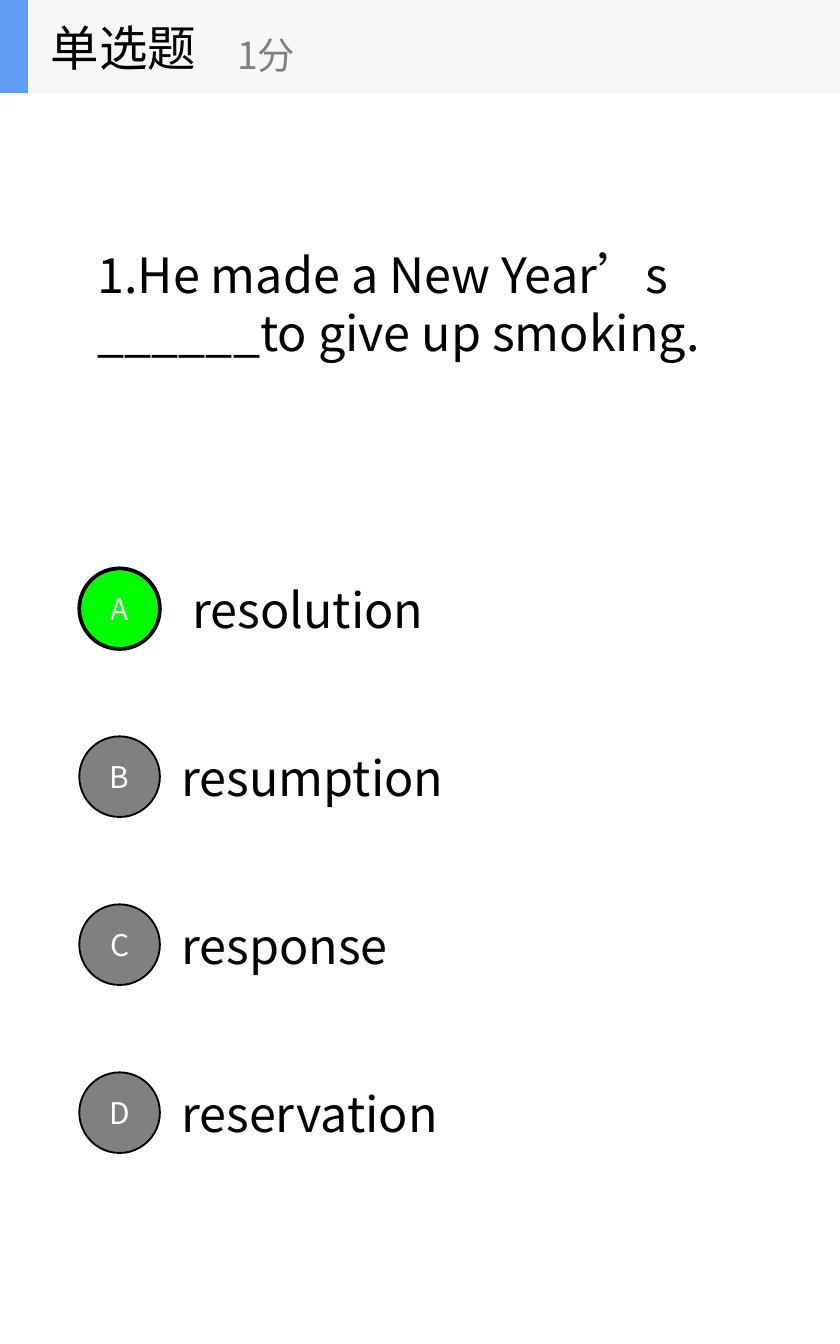
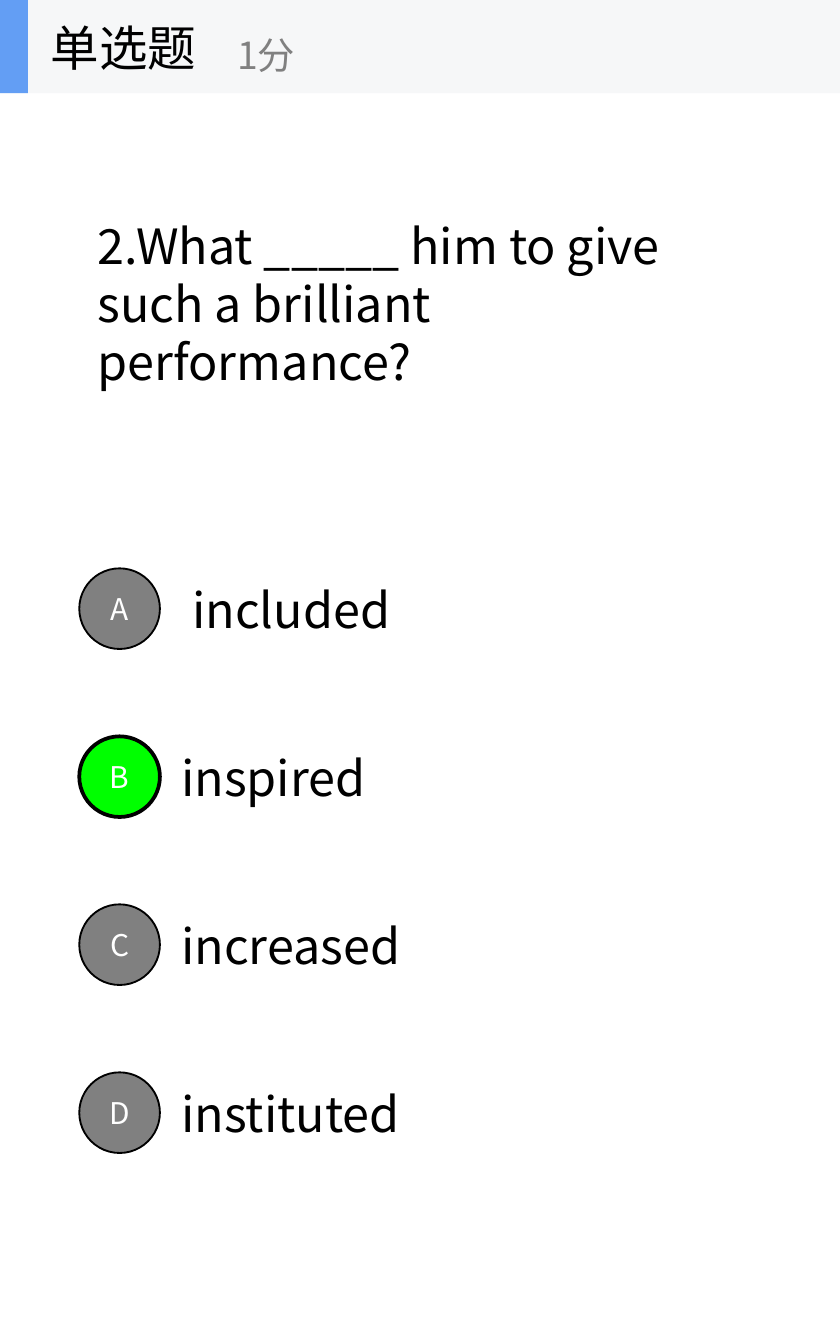
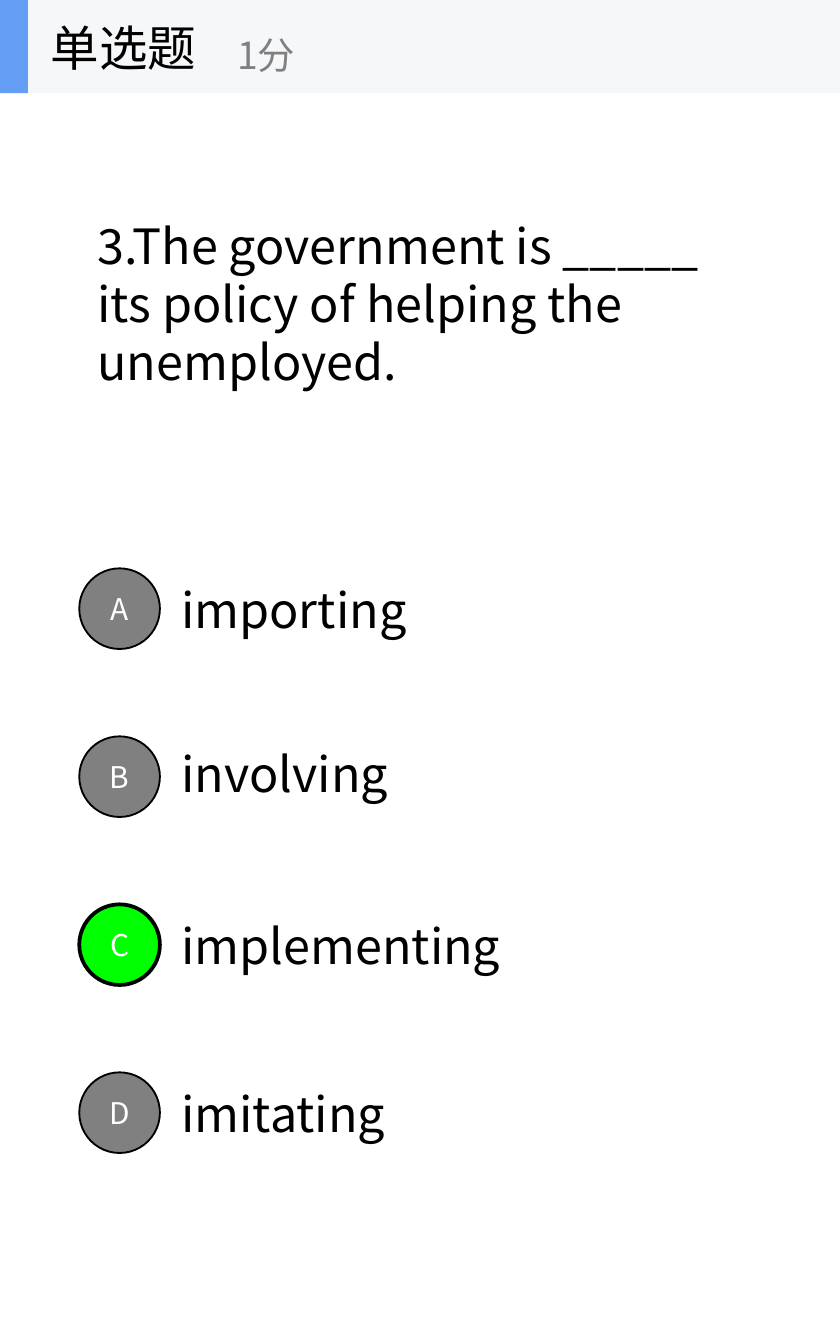
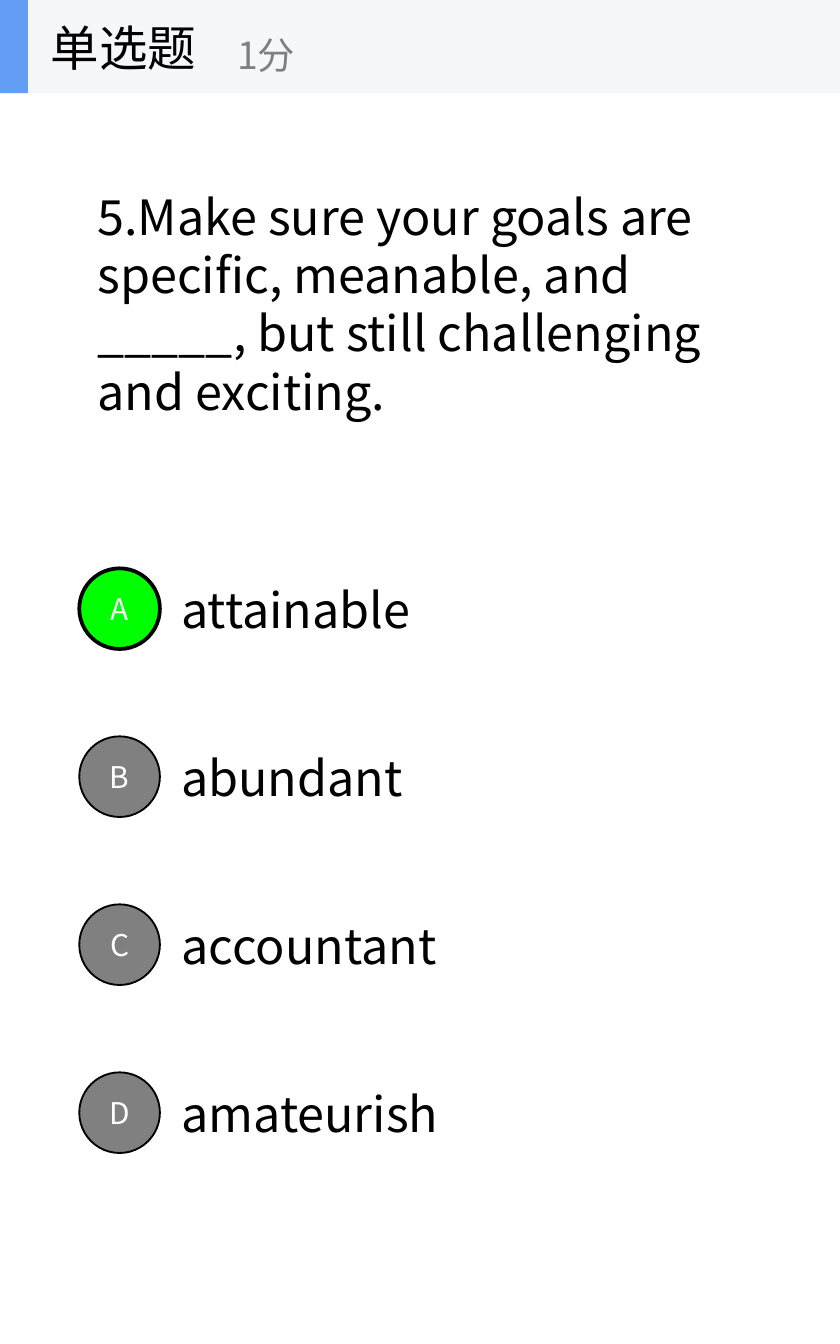
from pptx import Presentation
from pptx.dml.color import RGBColor
from pptx.enum.lang import MSO_LANGUAGE_ID as Language
from pptx.enum.shapes import MSO_SHAPE as Preset
from pptx.enum.text import MSO_ANCHOR as Anchor, MSO_AUTO_SIZE as AutoSize, PP_ALIGN as Align
from pptx.oxml.ns import qn
from pptx.util import Pt
from lxml.etree import SubElement

FONT = "Noto Sans CJK SC"
BLACK = RGBColor(0x00, 0x00, 0x00)
WHITE = RGBColor(0xFF, 0xFF, 0xFF)
GRAY = RGBColor(0x80, 0x80, 0x80)
CORRECT_GREEN = RGBColor(0x00, 0xFF, 0x00)
BAND_GRAY = RGBColor(0xF6, 0xF7, 0xF8)
ACCENT_BLUE = RGBColor(0x63, 0x9E, 0xF4)

SLIDE_WIDTH, SLIDE_HEIGHT = 450, 720
HEADER_BOX = (0, 0, SLIDE_WIDTH, 50)
QUESTION_LEFT, QUESTION_CENTER = 45, 162.5
LINE_HEIGHT, TEXT_PADDING = 31.2, 7.2
OPTIONS_BOX = (42.5, 304.5, 360, 360)
BADGE_SIZE = 43.2
OPTION_TEXT_LEFT, OPTION_TEXT_HEIGHT = 47.5, 38.9
OPTION_MARGIN, WIDE_OPTION_MARGIN = 7.2, 13

QUESTIONS = [
    {"text": "1.He made a New Year’s ______to give up smoking.",
     "width": 348, "lines": 2, "correct": "A", "wide": "A", "raised": "",
     "options": [("resolution", 221), ("resumption", 184), ("response", 168), ("reservation", 171)]},
    {"text": "2.What _____ him to give such a brilliant performance?",
     "width": 348, "lines": 3, "correct": "B", "wide": "A", "raised": "",
     "options": [("included", 197), ("inspired", 184), ("increased", 168), ("instituted", 171)]},
    {"text": "3.The government is _____ its policy of helping the unemployed.",
     "width": 359, "lines": 3, "correct": "C", "wide": "", "raised": "B",
     "options": [("importing", 244), ("involving", 230), ("implementing", 267), ("imitating", 303)]},
    {"text": "5.Make sure your goals are specific, meanable, and _____, "
             "but still challenging and exciting.",
     "width": 359, "lines": 4, "correct": "A", "wide": "", "raised": "",
     "options": [("attainable", 228), ("abundant", 291), ("accountant", 203), ("amateurish", 163)]},
]


def write_text(shape, text, size, color, align=Align.LEFT, **frame_format):
    frame = shape.text_frame
    frame_values = {"word_wrap": True, "vertical_anchor": Anchor.MIDDLE,
                    "auto_size": AutoSize.NONE} | frame_format
    for name, value in frame_values.items():
        setattr(frame, name, value)
    paragraph = frame.paragraphs[0]
    paragraph.alignment = align
    run = paragraph.add_run()
    run.text = text
    font_values = {"size": Pt(size), "name": FONT, "language_id": Language.SIMPLIFIED_CHINESE}
    for name, value in font_values.items():
        setattr(run.font, name, value)
    run.font.color.rgb = color
    SubElement(run._r.get_or_add_rPr(), qn("a:ea"), typeface=FONT)


def add_filled_shape(shapes, preset, box, fill, line_width=0):
    shape = shapes.add_shape(preset, *map(Pt, box))
    shape.shadow.inherit = False
    shape.fill.solid()
    shape.fill.fore_color.rgb = fill
    if line_width:
        shape.line.color.rgb = BLACK
        shape.line.width = Pt(line_width)
    else:
        shape.line.fill.background()
    return shape


def add_header(slide, box):
    left, top, width, height = box
    shapes = slide.shapes.add_group_shape().shapes
    add_filled_shape(shapes, Preset.RECTANGLE, box, BAND_GRAY)
    add_filled_shape(shapes, Preset.RECTANGLE, (left, top, 15, height), ACCENT_BLUE)
    for text, size, color, label_box in [
        ("单选题", 26, BLACK, (left + 20, top, 150, height)),
        ("1分", 20, GRAY, (left + 120, top + 9, 180, 40)),
    ]:
        label = shapes.add_textbox(*map(Pt, label_box))
        write_text(label, text, size, color, word_wrap=False)


def add_question(slide, question):
    height = question["lines"] * LINE_HEIGHT + TEXT_PADDING
    title = slide.shapes.title
    box = {"left": QUESTION_LEFT, "top": QUESTION_CENTER - height / 2,
           "width": question["width"], "height": height}
    for name, value in box.items():
        setattr(title, name, Pt(value))
    write_text(title, question["text"], 26, BLACK, auto_size=AutoSize.SHAPE_TO_FIT_TEXT)


def add_options(slide, box, question):
    left, top, _, height = box
    pitch = height / len(question["options"])
    for index, (letter, (text, width)) in enumerate(zip("ABCD", question["options"])):
        row_top = top + index * pitch
        text_top = row_top + (0 if letter == question["raised"] else 2.2)
        label = slide.shapes.add_textbox(
            Pt(left + OPTION_TEXT_LEFT), Pt(text_top), Pt(width), Pt(OPTION_TEXT_HEIGHT))
        margin = WIDE_OPTION_MARGIN if letter == question["wide"] else OPTION_MARGIN
        write_text(label, text, 26, BLACK, margin_left=Pt(margin),
                   auto_size=AutoSize.SHAPE_TO_FIT_TEXT)
        correct = letter == question["correct"]
        badge = add_filled_shape(
            slide.shapes, Preset.OVAL, (left, row_top, BADGE_SIZE, BADGE_SIZE),
            CORRECT_GREEN if correct else GRAY, 2 if correct else 1)
        write_text(badge, letter, 16, WHITE, Align.CENTER)


def main():
    presentation = Presentation()
    presentation.slide_width = Pt(SLIDE_WIDTH)
    presentation.slide_height = Pt(SLIDE_HEIGHT)
    title_only = presentation.slide_layouts[5]
    for question in QUESTIONS:
        slide = presentation.slides.add_slide(title_only)
        add_question(slide, question)
        add_options(slide, OPTIONS_BOX, question)
        add_header(slide, HEADER_BOX)
    presentation.save("out.pptx")


if __name__ == "__main__":
    main()
